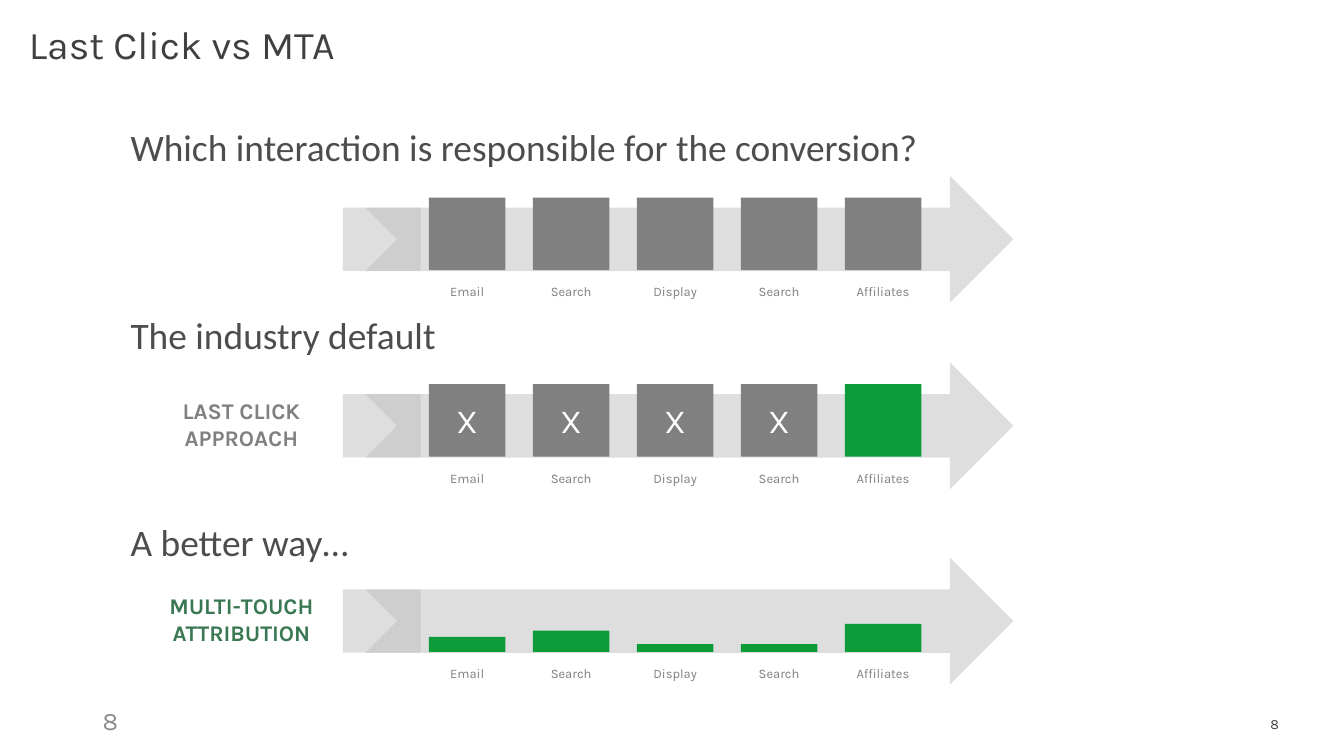
import pptx
import pptx.dml.color
import pptx.enum.shapes
import pptx.enum.text
import pptx.util
from lxml import etree
from pptx.util import Cm

SHAPE = pptx.enum.shapes.MSO_SHAPE
ALIGN = pptx.enum.text.PP_ALIGN
ANCHOR = pptx.enum.text.MSO_ANCHOR

GREY, GREEN, DARK_GREEN = "808080", "0D9B39", "397852"
ARROW_GREY, DARK = "BFBFBF", "404040"
CHANNELS = ["Email", "Search", "Display", "Search", "Affiliates"]
FIRST_LEFT, STEP, BLOCK_WIDTH, BLOCK_HEIGHT = 10.81, 2.62, 1.93, 1.83
BASELINE = 2.38  # distance from the top of an arrow to the foot of its blocks


def color(hex_text):
    return pptx.dml.color.RGBColor.from_string(hex_text)


def write(frame, text, size=18, font="Karla", fill=DARK, bold=False,
          align=ALIGN.LEFT, anchor=ANCHOR.TOP, margins=(0.25, 0.13, 0.25, 0.13),
          line_spacing=None):
    """Fill a text frame; margins are left, top, right, bottom in cm."""
    frame.word_wrap = True
    frame.vertical_anchor = anchor
    (frame.margin_left, frame.margin_top,
     frame.margin_right, frame.margin_bottom) = map(Cm, margins)
    para = frame.paragraphs[0]
    para.alignment = align
    para.line_spacing = line_spacing
    span = para.add_run()
    span.text = text
    span.font.size = pptx.util.Pt(size)
    span.font.name = font
    span.font.bold = bold
    span.font.color.rgb = color(fill)


def add_text(page, left, top, width, height, text, **style):
    box = page.shapes.add_textbox(Cm(left), Cm(top), Cm(width), Cm(height))
    write(box.text_frame, text, **style)


def add_block(shapes, kind, left, top, width, height, fill, opacity=None):
    """Add a borderless shape; opacity is a percentage."""
    block = shapes.add_shape(kind, Cm(left), Cm(top), Cm(width), Cm(height))
    block.shadow.inherit = False
    block.line.fill.background()
    block.fill.solid()
    block.fill.fore_color.rgb = color(fill)
    if opacity is not None:
        tint = block.fill._xPr.find(".//" + pptx.oxml.ns.qn("a:srgbClr"))
        alpha = etree.SubElement(tint, pptx.oxml.ns.qn("a:alpha"))
        alpha.set("val", str(opacity * 1000))
    return block


def add_arrow(page, top):
    shapes = page.shapes.add_group_shape().shapes
    add_block(shapes, SHAPE.NOTCHED_RIGHT_ARROW, 9.21, top, 16.33, 3.2, ARROW_GREY, 50)
    add_block(shapes, SHAPE.RECTANGLE, 8.64, top + 0.8, 1.96, 1.6, ARROW_GREY, 50)


def add_journey(page, top, blocks):
    """Draw one arrow with a (height, fill, mark) block for each channel."""
    add_arrow(page, top)
    for index, (channel, (height, fill, mark)) in enumerate(zip(CHANNELS, blocks)):
        left = FIRST_LEFT + index * STEP
        block = add_block(page.shapes, SHAPE.RECTANGLE, left,
                          top + BASELINE - height, BLOCK_WIDTH, height, fill)
        if mark:
            write(block.text_frame, mark, size=24, fill="FFFFFF",
                  align=ALIGN.CENTER, anchor=ANCHOR.MIDDLE)
        add_text(page, left, top + 2.59, BLOCK_WIDTH, 0.66, channel, size=9.3,
                 fill=GREY, align=ALIGN.CENTER, margins=(0, 0.13, 0, 0.13))


def add_heading(page, top, text):
    add_text(page, 2.95, top, 29.21, 1.96, text, size=26.7, font="Calibri",
             fill="4D4D4F", margins=(0.34, 0.17, 0.34, 0.17))


def add_approach(page, arrow_top, text, fill):
    add_text(page, 3.99, arrow_top + 0.74, 4.19, 1.63, text, size=16, fill=fill,
             bold=True, align=ALIGN.CENTER)


def main():
    deck = pptx.Presentation()
    deck.slide_width, deck.slide_height = Cm(33.87), Cm(19.05)
    page = deck.slides.add_slide(deck.slide_layouts[6])

    add_text(page, 0.48, 0, 23.42, 1.85, "Last Click vs MTA", size=28,
             anchor=ANCHOR.BOTTOM, line_spacing=0.9)

    plain = (BLOCK_HEIGHT, GREY, "")
    crossed = (BLOCK_HEIGHT, GREY, "X")
    credited = (BLOCK_HEIGHT, GREEN, "")
    shares = [(height, GREEN, "") for height in (0.38, 0.54, 0.2, 0.2, 0.71)]

    add_journey(page, 4.43, [plain] * 5)
    add_journey(page, 9.13, [crossed] * 4 + [credited])
    add_journey(page, 14.05, shares)
    add_approach(page, 9.13, "LAST CLICK APPROACH", GREY)
    add_approach(page, 14.05, "MULTI-TOUCH ATTRIBUTION", DARK_GREEN)

    add_heading(page, 2.95, "Which interaction is responsible for the conversion?")
    add_heading(page, 7.7, "The industry default")
    add_heading(page, 12.9, "A better way…")

    add_text(page, 2.34, 17.65, 7.62, 1.02, "8", fill="8C8C8C")
    add_text(page, 31.06, 17.91, 1.32, 0.69, "8", size=10, align=ALIGN.RIGHT,
             margins=(0.25, 0.13, 0.15, 0.13))

    deck.save("out.pptx")


if __name__ == "__main__":
    main()
